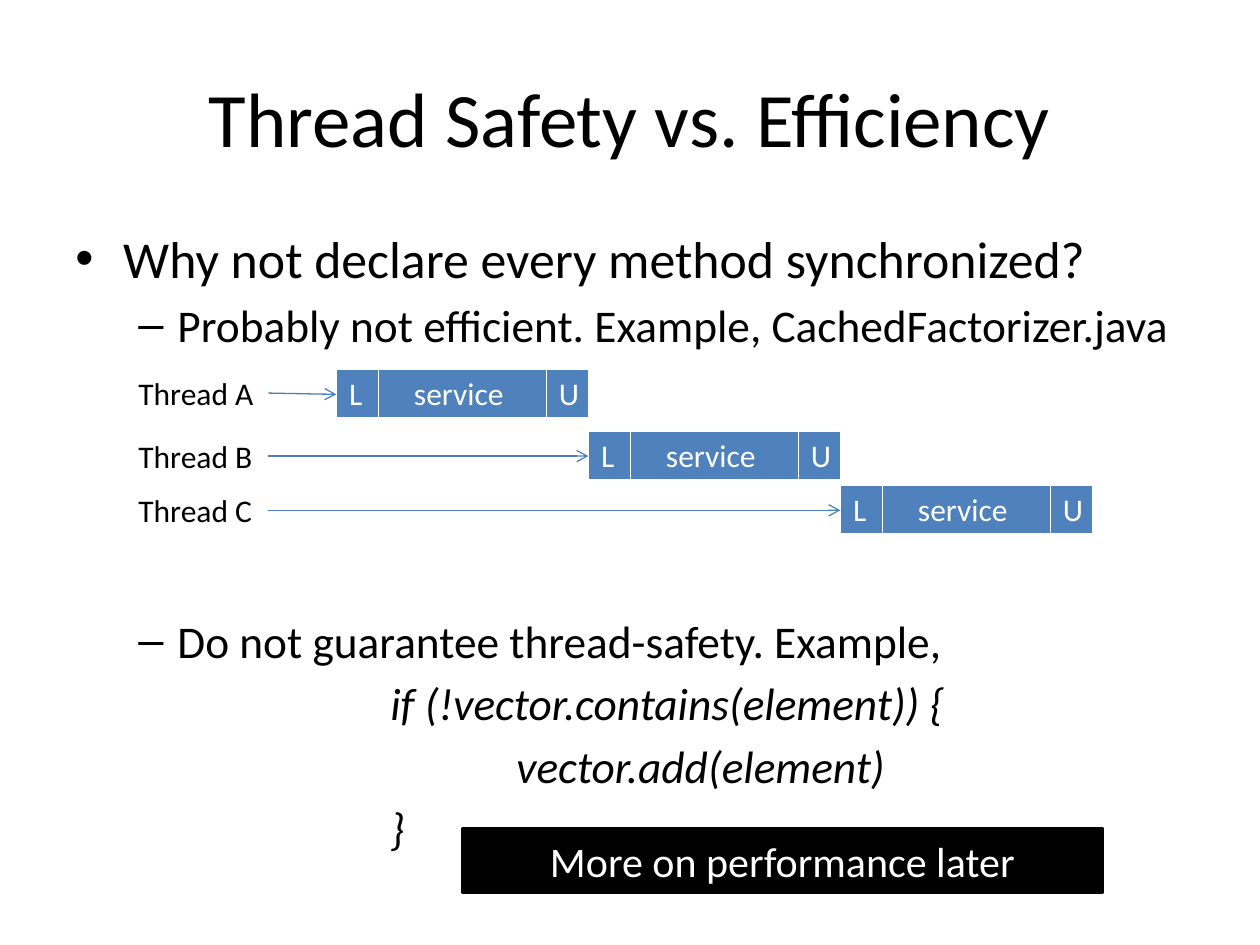
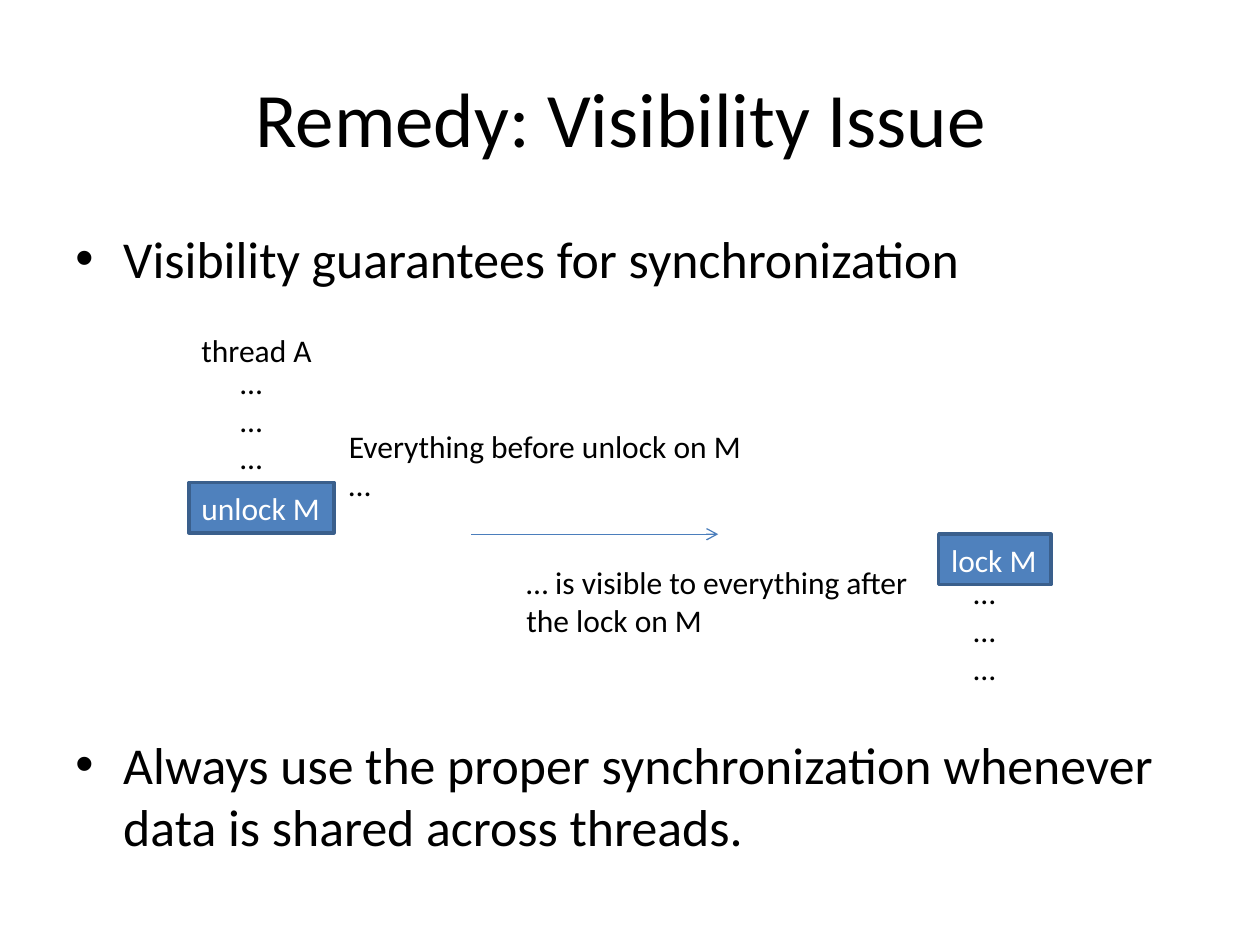
from dataclasses import dataclass

from lxml import etree
from pptx import Presentation
from pptx.dml.color import RGBColor
from pptx.enum.shapes import MSO_CONNECTOR, MSO_SHAPE
from pptx.enum.text import MSO_ANCHOR, PP_ALIGN
from pptx.oxml.ns import qn
from pptx.util import Inches, Pt

LEFT, CENTER = PP_ALIGN.LEFT, PP_ALIGN.CENTER
TOP, MIDDLE = MSO_ANCHOR.TOP, MSO_ANCHOR.MIDDLE
RECTANGLE = MSO_SHAPE.RECTANGLE
STRAIGHT = MSO_CONNECTOR.STRAIGHT
RIGHT_SIDE = 3
BLANK_LAYOUT = 6


@dataclass(frozen=True)
class Theme:
    font: str = "Calibri"
    black: str = "000000"
    white: str = "FFFFFF"
    blue: str = "4F81BD"
    blue_edge: str = "3A5F8C"
    arrow: str = "4B7EBC"
    title_size: float = 44
    bullet_size: float = 29.6
    detail_size: float = 25.9
    banner_size: float = 24
    label_size: float = 18
    first_space: float = 2.5
    line_space: float = 4.6


@dataclass(frozen=True)
class Line:
    text: str
    size: float
    margin: float
    space: float
    hanging: float = 0
    bullet: str = ""
    italic: bool = False


class Deck:
    def __init__(self, theme):
        self.theme = theme
        self.presentation = Presentation()
        self.presentation.slide_width = Inches(10)
        self.presentation.slide_height = Inches(7.5)
        self.slide = None

    def new_slide(self, title):
        layout = self.presentation.slide_layouts[BLANK_LAYOUT]
        self.slide = self.presentation.slides.add_slide(layout)
        self.text_box(0.5, 0.3, 9, 1.25, [title], self.theme.title_size, CENTER, MIDDLE, True)

    def add_run(self, paragraph, text, size, color, italic=False):
        run = paragraph.add_run()
        run.text = text
        run.font.name = self.theme.font
        run.font.size = Pt(size)
        run.font.italic = italic
        run.font.color.rgb = RGBColor.from_string(color)

    def add_paragraphs(self, frame, texts, size, color, align):
        for index, text in enumerate(texts):
            paragraph = frame.add_paragraph() if index else frame.paragraphs[0]
            paragraph.alignment = align
            self.add_run(paragraph, text, size, color)

    def text_box(self, left, top, width, height, texts, size=None, align=LEFT, anchor=TOP, wrap=False):
        shape = self.slide.shapes.add_textbox(Inches(left), Inches(top), Inches(width), Inches(height))
        frame = shape.text_frame
        frame.word_wrap = wrap
        frame.vertical_anchor = anchor
        self.add_paragraphs(frame, texts, size or self.theme.label_size, self.theme.black, align)
        return shape

    def body(self, lines):
        frame = self.text_box(0.5, 1.75, 9, 4.95, [], wrap=True).text_frame
        for index, line in enumerate(lines):
            paragraph = frame.add_paragraph() if index else frame.paragraphs[0]
            paragraph.space_before = Pt(line.space)
            properties = paragraph._p.get_or_add_pPr()
            properties.set("marL", str(Inches(line.margin)))
            properties.set("indent", str(Inches(-line.hanging)))
            if line.bullet:
                etree.SubElement(properties, qn("a:buFont")).set("typeface", "Arial")
                etree.SubElement(properties, qn("a:buChar")).set("char", line.bullet)
            self.add_run(paragraph, line.text, line.size, self.theme.black, line.italic)

    def box(self, left, top, width, height, text, size, fill, edge, align=LEFT):
        shape = self.slide.shapes.add_shape(
            RECTANGLE, Inches(left), Inches(top), Inches(width), Inches(height))
        shape.shadow.inherit = False
        shape.fill.solid()
        shape.fill.fore_color.rgb = RGBColor.from_string(fill)
        shape.line.color.rgb = RGBColor.from_string(edge)
        shape.line.width = Pt(2)
        shape.text_frame.word_wrap = False
        shape.text_frame.vertical_anchor = MIDDLE
        self.add_paragraphs(shape.text_frame, [text], size, self.theme.white, align)

    def arrow(self, start, end, source=None):
        connector = self.slide.shapes.add_connector(
            STRAIGHT, *(Inches(value) for value in (*start, *end)))
        if source is not None:
            connector.begin_connect(source, RIGHT_SIDE)
        connector.line.color.rgb = RGBColor.from_string(self.theme.arrow)
        connector.line.width = Pt(0.75)
        line = connector.line._get_or_add_ln()
        etree.SubElement(line, qn("a:tailEnd")).set("type", "arrow")
        etree.SubElement(connector._element.spPr, qn("a:effectLst"))

    def cell_border(self, cell):
        properties = cell._tc.get_or_add_tcPr()
        for side, width in (("L", 1), ("R", 1), ("T", 1), ("B", 3)):
            border = etree.SubElement(properties, qn(f"a:ln{side}"), w=str(Pt(width)))
            fill = etree.SubElement(border, qn("a:solidFill"))
            etree.SubElement(fill, qn("a:srgbClr")).set("val", self.theme.white)

    def table(self, left, top, width, height, cells):
        table = self.slide.shapes.add_table(
            1, len(cells), Inches(left), Inches(top), Inches(width), Inches(height)).table
        table.first_row = False
        table.horz_banding = False
        total = sum(share for _, share, _ in cells)
        for index, (text, share, align) in enumerate(cells):
            table.columns[index].width = Inches(width * share / total)
            cell = table.cell(0, index)
            self.cell_border(cell)
            cell.fill.solid()
            cell.fill.fore_color.rgb = RGBColor.from_string(self.theme.blue)
            self.add_paragraphs(cell.text_frame, [text], self.theme.label_size, self.theme.white, align)


def bullet(theme, text, space):
    return Line(text, theme.bullet_size, 0.38, space, 0.38, "•")


def dash(theme, text, space):
    return Line(text, theme.detail_size, 0.81, space, 0.31, "–")


def code(theme, text, margin):
    return Line(text, theme.detail_size, margin, theme.line_space, italic=True)


def build_efficiency(deck):
    theme = deck.theme
    deck.new_slide("Thread Safety vs. Efficiency")
    deck.body([
        bullet(theme, "Why not declare every method synchronized?", theme.first_space),
        dash(theme, "Probably not efficient. Example, CachedFactorizer.java", theme.line_space),
        dash(theme, "Do not guarantee thread-safety. Example,", 149.5),
        code(theme, "if (!vector.contains(element)) {", 2.5),
        code(theme, "vector.add(element)", 3.5),
        code(theme, "}", 2.5),
    ])
    phases = [("L", 1, LEFT), ("service ", 4, CENTER), ("U", 1, LEFT)]
    phase_width, row_height = 2, 0.4
    rows = [("Thread A", 2.92, 2.93), ("Thread B", 3.42, 3.42), ("Thread C", 3.85, 3.85)]
    for index, (name, label_top, table_top) in enumerate(rows):
        table_left = 2.67 + index * phase_width
        deck.table(table_left, table_top, phase_width, row_height, phases)
        label = deck.text_box(1, label_top, 1.13, row_height, [name])
        deck.arrow((2.13, label_top + row_height / 2),
                   (table_left, table_top + row_height / 2), label)
    deck.box(3.67, 6.58, 5.08, 0.5, "More on performance later",
             theme.banner_size, theme.black, theme.black, CENTER)


def build_visibility(deck):
    theme = deck.theme
    deck.new_slide("Remedy: Visibility Issue ")
    deck.body([
        bullet(theme, "Visibility guarantees for synchronization", theme.first_space),
        bullet(theme, "Always use the proper synchronization whenever data is shared across threads.", 253.6),
    ])
    for text, left, top, width in (("unlock M", 1.5, 3.83, 1.15), ("lock M", 7.45, 4.24, 0.89)):
        deck.box(left, top, width, 0.4, text, theme.label_size, theme.blue, theme.blue_edge)
    deck.text_box(1.5, 2.58, 1.09, 0.4, ["thread A"])
    for left, top in ((1.81, 2.83), (7.63, 4.5)):
        deck.text_box(left, top, 0.4, 1.01, ["…"] * 3)
    deck.arrow((3.74, 4.24), (5.7, 4.24))
    deck.text_box(2.67, 3.34, 3.35, 0.71, ["Everything before unlock on M", "…"])
    deck.text_box(4.08, 4.42, 3.33, 0.71, ["… is visible to everything after", "the lock on M"])


def main():
    deck = Deck(Theme())
    build_efficiency(deck)
    build_visibility(deck)
    deck.presentation.save("out.pptx")


if __name__ == "__main__":
    main()
